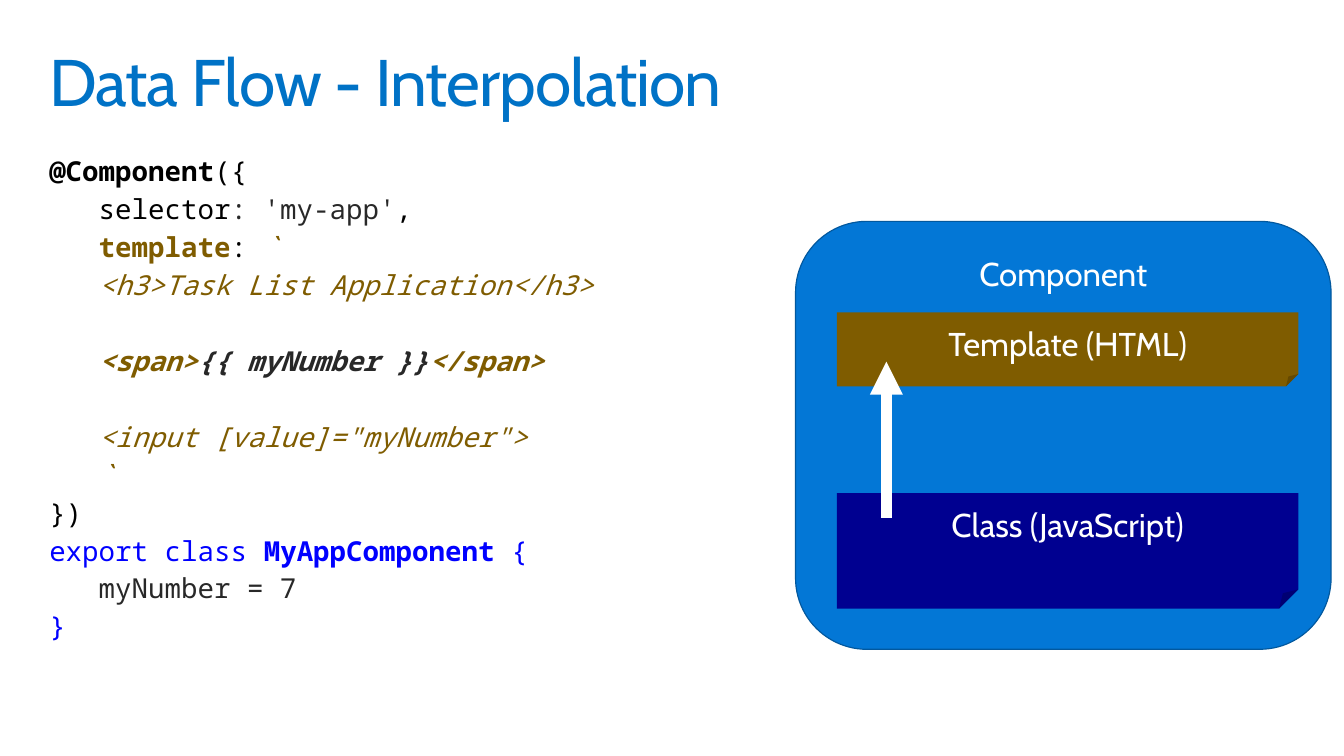
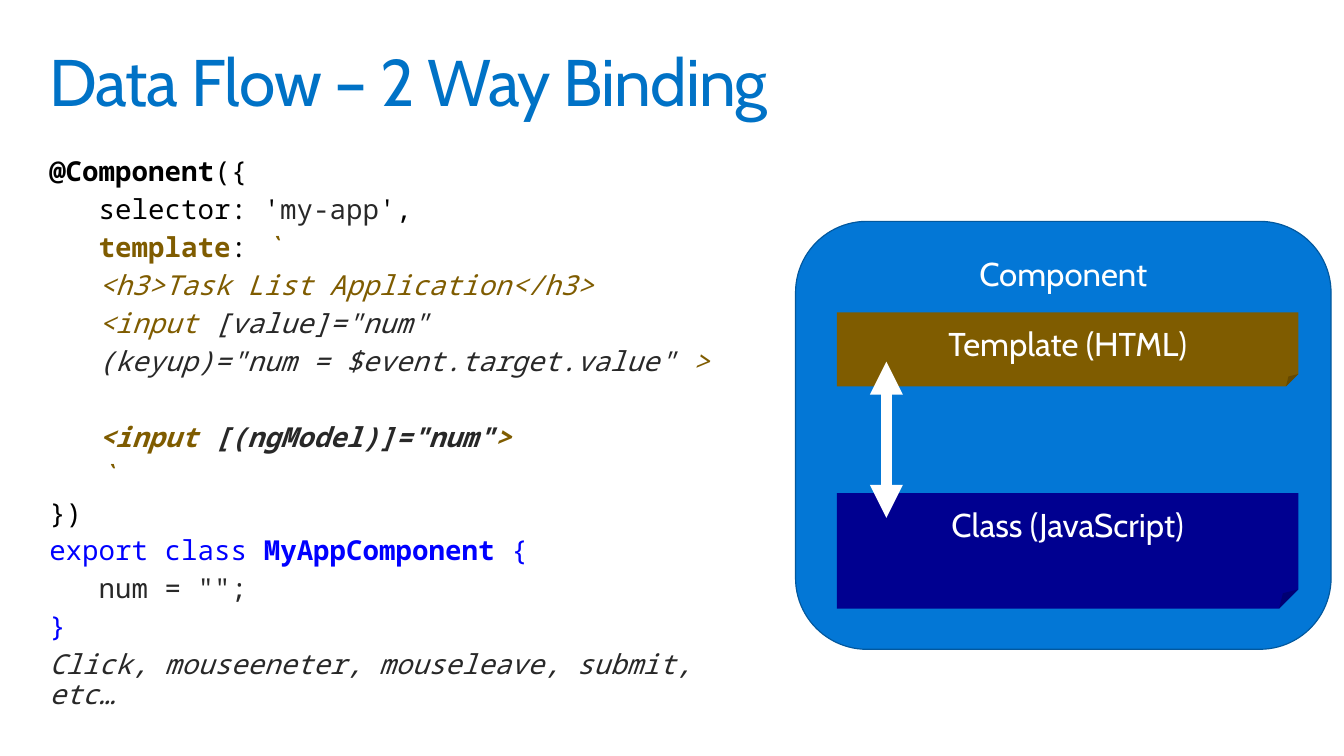
import lxml.etree
import pptx
import pptx.dml.color
import pptx.enum.shapes
import pptx.enum.text
import pptx.oxml.ns
import pptx.util

Pt = pptx.util.Pt
SHAPES = pptx.enum.shapes.MSO_SHAPE
ALIGN = pptx.enum.text.PP_ALIGN
AUTO_SIZE = pptx.enum.text.MSO_AUTO_SIZE
qn = pptx.oxml.ns.qn

TITLE_BLUE, COMPONENT_BLUE, COMPONENT_EDGE = "0072C6", "0377D6", "02589E"
NAVY, BROWN, WHITE = "000090", "7F5C00", "FFFFFF"
BLACK, GREY, BLUE = "000000", "282828", "0000FF"
TEXT_FONT, CODE_FONT = "Cabin", "Noto Sans Mono"
SLIDE_SIZE = (979.2, 550.8)
TITLE_BOX = (28.8, 28.8, 921.6, 72)
CODE_BOX = (28.8, 108, 538.6, 372)
DIAGRAM_BOX = (579.6, 161.3, 390.2, 311.8)
CODE_INDENT, CODE_GAP, CODE_PITCH = 36, 6, 27.7


def rgb(hex_color):
    """Turn a hex string into a colour."""
    return pptx.dml.color.RGBColor.from_string(hex_color)


def style_run(run, font, size, color, flags=""):
    """Format a run; flags may hold b for bold and i for italic."""
    run.font.name = font
    run.font.size = Pt(size)
    run.font.color.rgb = rgb(color)
    run.font.bold = "b" in flags
    run.font.italic = "i" in flags


def set_frame(frame, margin_x, margin_y, auto_size=AUTO_SIZE.NONE):
    """Give a text frame its margins, wrapping and top anchor."""
    frame.margin_left = frame.margin_right = Pt(margin_x)
    frame.margin_top = frame.margin_bottom = Pt(margin_y)
    frame.word_wrap = True
    frame.auto_size = auto_size
    frame.vertical_anchor = pptx.enum.text.MSO_ANCHOR.TOP


def place_title(slide, box, text):
    """Move, fill and format the title placeholder."""
    title = slide.shapes.title
    title.left, title.top, title.width, title.height = map(Pt, box)
    set_frame(title.text_frame, 7.2, 7.2)
    title.text_frame.text = text
    paragraph = title.text_frame.paragraphs[0]
    paragraph.alignment = ALIGN.LEFT
    paragraph.line_spacing = 0.9
    run = paragraph.runs[0]
    style_run(run, TEXT_FONT, 48, TITLE_BLUE)
    run.font._element.set("spc", "-70")


def add_code(slide, box, lines):
    """Write code lines given as indent level, blank lines above and runs."""
    frame = slide.shapes.add_textbox(*map(Pt, box)).text_frame
    set_frame(frame, 7.2, 7.2, AUTO_SIZE.SHAPE_TO_FIT_TEXT)
    for number, (level, blanks, pieces) in enumerate(lines):
        paragraph = frame.add_paragraph() if number else frame.paragraphs[0]
        paragraph.line_spacing = 0.9
        paragraph.space_before = Pt(CODE_GAP + blanks * CODE_PITCH)
        paragraph._p.get_or_add_pPr().set("marL", str(int(Pt(level * CODE_INDENT))))
        for text, color, flags in pieces:
            run = paragraph.add_run()
            run.text = text
            style_run(run, CODE_FONT, 20, color, flags)


def add_panel(slide, kind, box, text, fill, edge=None):
    """Draw a filled panel with its label at the top."""
    panel = slide.shapes.add_shape(kind, *map(Pt, box))
    panel.shadow.inherit = False
    panel.fill.solid()
    panel.fill.fore_color.rgb = rgb(fill)
    if edge:
        panel.line.color.rgb = rgb(edge)
        panel.line.width = Pt(0.85)
    else:
        panel.line.fill.background()
    set_frame(panel.text_frame, 14.4, 11.5)
    panel.text_frame.text = text
    label = panel.text_frame.paragraphs[0]
    label.alignment = ALIGN.CENTER
    label.line_spacing = 0.9
    style_run(label.runs[0], TEXT_FONT, 24, WHITE)


def add_arrow(slide, x, start_y, end_y, two_way):
    """Draw the vertical data flow arrow."""
    arrow = slide.shapes.add_connector(
        pptx.enum.shapes.MSO_CONNECTOR.STRAIGHT, Pt(x), Pt(start_y), Pt(x), Pt(end_y))
    arrow.line.color.rgb = rgb(WHITE)
    arrow.line.width = Pt(8)
    properties = arrow._element.spPr
    outline = properties.find(qn("a:ln"))
    for end in (["a:headEnd"] if two_way else []) + ["a:tailEnd"]:
        lxml.etree.SubElement(outline, qn(end)).set("type", "triangle")
    lxml.etree.SubElement(properties, qn("a:effectLst"))


def add_diagram(slide, box, two_way):
    """Draw the component with its template, class and data flow."""
    left, top, width, _ = box
    part_left, part_width = left + 30.2, width - 54
    template_top, class_top = top + 66.2, top + 198
    add_panel(slide, SHAPES.ROUNDED_RECTANGLE, box, "Component", COMPONENT_BLUE, COMPONENT_EDGE)
    for part_top, height, text, fill in (
        (template_top, 54, "Template (HTML)", BROWN),
        (class_top, 84.2, "Class (JavaScript)", NAVY),
    ):
        add_panel(slide, SHAPES.FOLDED_CORNER, (part_left, part_top, part_width, height), text, fill)
    add_arrow(slide, part_left + 36, class_top + 18, template_top + 36, two_way)


def component_code(selector, template, field):
    """Wrap the selector, template and field lines in the component code."""
    return [
        (0, 0, [("@Component", BLACK, "b"), ("({", BLACK, "")]),
        (1, 0, selector),
        (1, 0, [("template", BROWN, "b"), (": ", BLACK, ""), ("`", BROWN, "i")]),
        (1, 0, [("<h3>Task List Application</h3>", BROWN, "i")]),
        *template,
        (1, 0, [("`", BROWN, "i")]),
        (0, 0, [("})", BLACK, "")]),
        (0, 0, [("export class ", BLUE, ""), ("MyAppComponent", BLUE, "b"), (" {", BLUE, "")]),
        (1, 0, [(field, GREY, "")]),
        (0, 0, [("}", BLUE, "")]),
    ]


def add_data_flow_slide(deck, title, code, two_way):
    """Build one data flow slide: title, code and diagram."""
    slide = deck.slides.add_slide(deck.slide_layouts[5])
    place_title(slide, TITLE_BOX, title)
    add_code(slide, CODE_BOX, code)
    add_diagram(slide, DIAGRAM_BOX, two_way)


def main():
    """Build and save the deck."""
    deck = pptx.Presentation()
    deck.slide_width, deck.slide_height = map(Pt, SLIDE_SIZE)
    interpolation = component_code(
        [("selector", BLACK, ""), (": 'my-app'", GREY, ""), (",", BLACK, "")],
        [
            (1, 1, [("<span>", BROWN, "bi"), ("{{ myNumber }}", GREY, "bi"), ("</span>", BROWN, "bi")]),
            (1, 1, [('<input [value]="myNumber">', BROWN, "i")]),
        ],
        "myNumber = 7",
    )
    binding = component_code(
        [("selector: '", BLACK, ""), ("my-app", GREY, ""), ("',", BLACK, "")],
        [
            (1, 0, [("<input ", BROWN, "i"), ('[value]="num"', GREY, "i")]),
            (1, 0, [('(keyup)="num = $event.target.value" ', GREY, "i"), (">", BROWN, "i")]),
            (1, 1, [("<input ", BROWN, "bi"), ('[(ngModel)]="num"', GREY, "bi"), (">", BROWN, "bi")]),
        ],
        'num = "";',
    )
    events = (0, 0, [("Click, mouseeneter, mouseleave, submit, etc…", GREY, "i")])
    add_data_flow_slide(deck, "Data Flow - Interpolation", interpolation, False)
    add_data_flow_slide(deck, "Data Flow – 2 Way Binding", binding + [events], True)
    deck.save("out.pptx")


if __name__ == "__main__":
    main()
